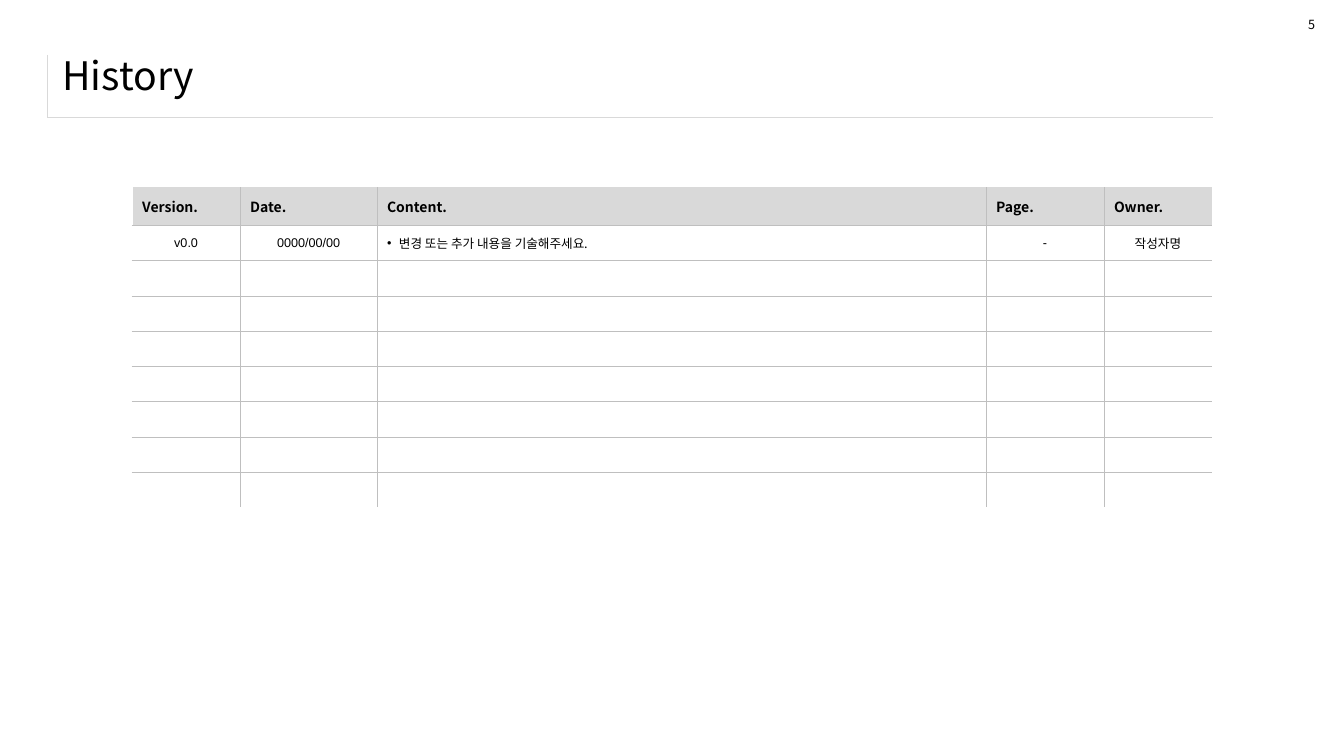
"""Build the version history slide."""
from dataclasses import dataclass

from lxml import etree
from pptx import Presentation
from pptx.dml.color import RGBColor
from pptx.enum.text import MSO_ANCHOR, PP_ALIGN
from pptx.oxml.ns import qn
from pptx.util import Cm, Pt

LEFT, CENTER = PP_ALIGN.LEFT, PP_ALIGN.CENTER
MIDDLE = MSO_ANCHOR.MIDDLE


@dataclass(frozen=True)
class Theme:
    ink: str = "000000"
    head: str = "D9D9D9"
    rule: str = "BFBFBF"
    paper: str = "FFFFFF"
    sans: str = "Noto Sans CJK KR"
    plain: str = "Arial"
    title: float = 28
    label: float = 10
    body: float = 9
    hair: float = 0.25
    wide: float = 1


@dataclass(frozen=True)
class Box:
    left: float
    top: float
    width: float
    height: float

    def args(self) -> tuple:
        return Cm(self.left), Cm(self.top), Cm(self.width), Cm(self.height)


@dataclass(frozen=True)
class Column:
    label: str
    entry: str
    width: float
    face: str
    bullet: bool = False


@dataclass(frozen=True)
class Edge:
    color: str
    width: float


THEME = Theme()
HAIR = Edge(THEME.rule, THEME.hair)
BLANK = Edge(THEME.paper, THEME.wide)
FRAME = Edge(THEME.head, THEME.hair)

COLUMNS = [
    Column("Version.", "v0.0", 2.72, THEME.plain),
    Column("Date.", "0000/00/00", 3.45, THEME.plain),
    Column("Content.", "변경 또는 추가 내용을 기술해주세요.", 15.35, THEME.sans, True),
    Column("Page.", "-", 2.97, THEME.plain),
    Column("Owner.", "작성자명", 2.72, THEME.sans),
]
ROWS = 9
HEAD_HIGH, ROW_HIGH = 0.95, 0.89


def style(para, size: float, face: str = THEME.sans, bold: bool = False) -> None:
    font = para.font
    font.size, font.name, font.bold = Pt(size), face, bold
    font.color.rgb = RGBColor.from_string(THEME.ink)
    props = para._p.pPr.find(qn("a:defRPr"))
    east = etree.Element(qn("a:ea"), typeface=THEME.sans)
    props.find(qn("a:latin")).addnext(east)


def add_bullet(para) -> None:
    props = para._p.get_or_add_pPr()
    props.set("marL", str(Cm(0.3)))
    props.set("indent", str(Cm(-0.3)))
    props.insert(0, etree.Element(qn("a:buFont"), typeface=THEME.plain))
    props.insert(1, etree.Element(qn("a:buChar"), char="•"))


def set_edges(cell, left: Edge | None = None, right: Edge | None = None,
              top: Edge | None = None, bottom: Edge | None = None) -> None:
    props = cell._tc.get_or_add_tcPr()
    for spot, (side, edge) in enumerate(zip("LRTB", (left, right, top, bottom))):
        line = etree.Element(qn(f"a:ln{side}"))
        if edge:
            line.set("w", str(Pt(edge.width)))
            fill = etree.SubElement(line, qn("a:solidFill"))
            etree.SubElement(fill, qn("a:srgbClr"), val=edge.color)
        else:
            etree.SubElement(line, qn("a:noFill"))
        props.insert(spot, line)


def add_grid(slide, rows: int, cols: int, box: Box):
    grid = slide.shapes.add_table(rows, cols, *box.args()).table
    grid.first_row = grid.horz_banding = False
    for cell in grid.iter_cells():
        cell.fill.background()
        cell.vertical_anchor = MIDDLE
    return grid


def add_title(slide) -> None:
    grid = add_grid(slide, 1, 1, Box(1.19, 1.38, 29.38, 1.57))
    set_edges(grid.cell(0, 0), left=FRAME, bottom=FRAME)
    title = slide.shapes.title
    title.left, title.top, title.width, title.height = Box(1.32, 1.15, 31.72, 1.6).args()
    title.text_frame.text = "History"
    title.text_frame.vertical_anchor = MIDDLE
    para = title.text_frame.paragraphs[0]
    para.alignment, para.line_spacing = LEFT, 0.9
    style(para, THEME.title)


def fill_head(cell, column: Column) -> None:
    cell.text = column.label
    cell.fill.solid()
    cell.fill.fore_color.rgb = RGBColor.from_string(THEME.head)
    style(cell.text_frame.paragraphs[0], THEME.label, bold=True)


def fill_body(cell, column: Column, text: str) -> None:
    cell.text = text
    para = cell.text_frame.paragraphs[0]
    style(para, THEME.body, column.face)
    if not column.bullet:
        para.alignment = CENTER
    elif text:
        add_bullet(para)


def add_history(slide) -> None:
    wide = sum(column.width for column in COLUMNS)
    high = HEAD_HIGH + (ROWS - 1) * ROW_HIGH
    grid = add_grid(slide, ROWS, len(COLUMNS), Box(3.33, 4.72, wide, high))
    for index, row in enumerate(grid.rows):
        row.height = Cm(ROW_HIGH if index else HEAD_HIGH)
    for col, column in enumerate(COLUMNS):
        grid.columns[col].width = Cm(column.width)
        for row in range(ROWS):
            cell = grid.cell(row, col)
            if row == 0:
                fill_head(cell, column)
            else:
                fill_body(cell, column, column.entry if row == 1 else "")
            set_edges(
                cell,
                left=HAIR if col else BLANK,
                right=HAIR if col < len(COLUMNS) - 1 else None,
                top=HAIR if row else None,
                bottom=HAIR if row < ROWS - 1 else BLANK,
            )


def add_number(slide) -> None:
    frame = slide.shapes.add_textbox(*Box(32.72, 0.3, 0.69, 0.64).args()).text_frame
    frame.word_wrap = False
    frame.text = "5"
    style(frame.paragraphs[0], THEME.body)


def main() -> None:
    deck = Presentation()
    deck.slide_width, deck.slide_height = Cm(33.87), Cm(19.05)
    slide = deck.slides.add_slide(deck.slide_layouts[5])
    add_title(slide)
    add_history(slide)
    add_number(slide)
    deck.save("out.pptx")


if __name__ == "__main__":
    main()
